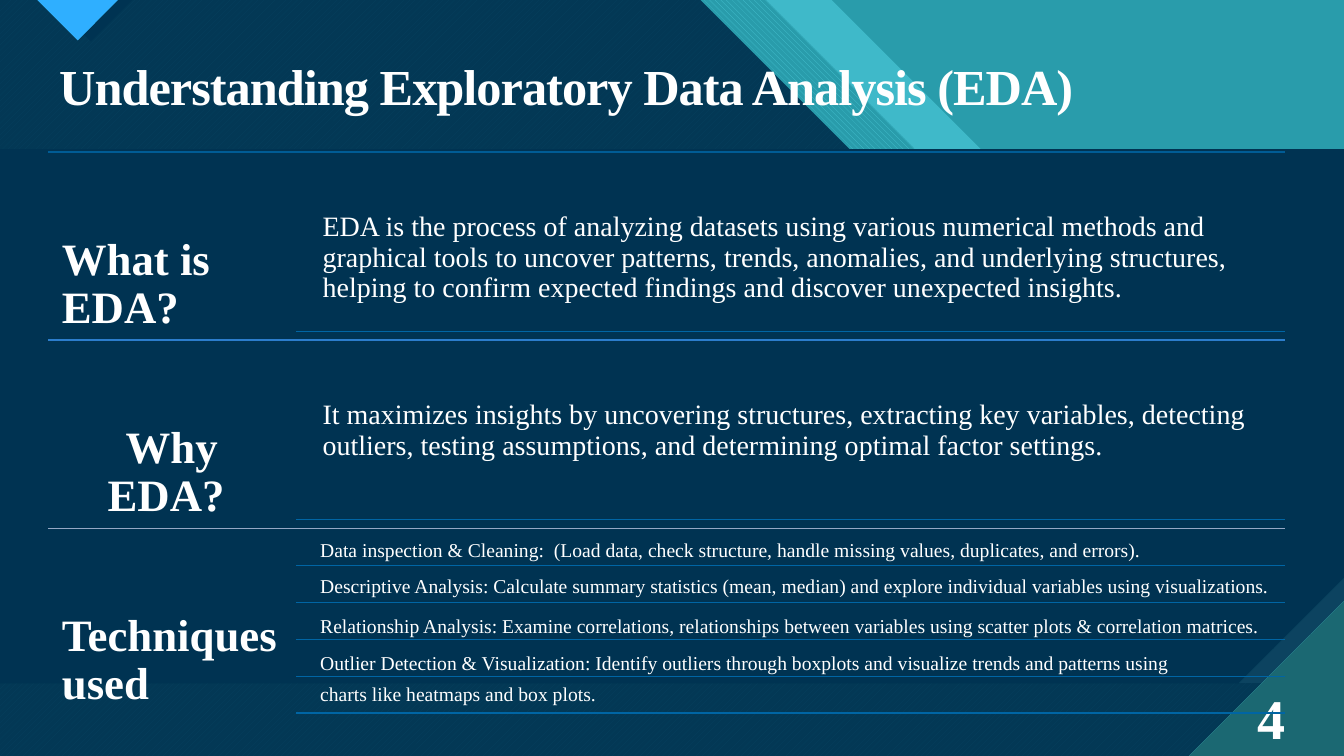
from dataclasses import dataclass

from lxml import etree
from pptx import Presentation
from pptx.dml.color import RGBColor
from pptx.enum.dml import MSO_PATTERN
from pptx.enum.shapes import MSO_CONNECTOR
from pptx.enum.text import MSO_ANCHOR, PP_ALIGN
from pptx.oxml.ns import qn
from pptx.util import Cm, Pt

LEFT, CENTER, RIGHT = PP_ALIGN.LEFT, PP_ALIGN.CENTER, PP_ALIGN.RIGHT
TOP, MIDDLE = MSO_ANCHOR.TOP, MSO_ANCHOR.MIDDLE
DOWN_STRIPES = MSO_PATTERN.WIDE_DOWNWARD_DIAGONAL
UP_STRIPES = MSO_PATTERN.WIDE_UPWARD_DIAGONAL
ROWS, COLUMNS = MSO_PATTERN.DARK_HORIZONTAL, MSO_PATTERN.DARK_VERTICAL

# Content
TITLE = "Understanding Exploratory Data Analysis (EDA)"
PAGE_NUMBER = "4"
# heading, alignment, rule colour, detail
SECTIONS = [
    ("What is EDA?", LEFT, "005C95",
     "EDA is the process of analyzing datasets using various numerical methods and "
     "graphical tools to uncover patterns, trends, anomalies, and underlying structures, "
     "helping to confirm expected findings and discover unexpected insights."),
    ("Why EDA? ", CENTER, "2C7DCC",
     "It maximizes insights by uncovering structures, extracting key variables, detecting "
     "outliers, testing assumptions, and determining optimal factor settings."),
    ("Techniques used", LEFT, "95A8C5", None),
]
# top in cm, text
TECHNIQUES = [
    (13.46, "Data inspection & Cleaning:  (Load data, check structure, handle missing "
            "values, duplicates, and errors)."),
    (14.38, "Descriptive Analysis: Calculate summary statistics (mean, median) and explore "
            "individual variables using visualizations."),
    (15.39, "Relationship Analysis: Examine correlations, relationships between variables "
            "using scatter plots & correlation matrices."),
    (16.31, "Outlier Detection & Visualization: Identify outliers through boxplots and "
            "visualize trends and patterns using"),
    (17.1, "charts like heatmaps and box plots."),
]


@dataclass(frozen=True)
class Theme:
    font: str = "Times New Roman"
    text: str = "FFFFFF"
    teal: str = "299CAB"
    light_teal: str = "3FB9C9"
    bright_teal: str = "47C3D3"
    deep_teal: str = "1B6872"
    navy: str = "003352"
    stripe_navy: str = "07415F"
    stripe_back: str = "033855"
    corner_navy: str = "0C4360"
    accent: str = "2FAFFF"
    rule: str = "0065A4"
    title_size: int = 36
    number_size: int = 40
    heading_size: int = 32
    detail_size: int = 20
    technique_size: int = 14


THEME = Theme()

# Layout in cm
WIDTH, HEIGHT = 33.87, 19.05
BAND, BODY_END, SNIP, CORNER = 3.76, 17.22, 2.65, 3.91
RULE_LEFT, DETAIL_RULE_LEFT, RULE_RIGHT = 1.22, 7.47, 32.38
SECTION_TOP, SECTION_PITCH = 3.83, 4.74
DETAIL_LEFT, DETAIL_WIDTH = 7.92, 24.46
TECHNIQUE_RULE_TOP, TECHNIQUE_PITCH = 14.25, 0.93

deck = Presentation()
deck.slide_width, deck.slide_height = Cm(WIDTH), Cm(HEIGHT)
page = deck.slides.add_slide(deck.slide_layouts[5])
shapes = page.shapes


def color(code):
    return RGBColor.from_string(code)


def add_polygon(points, fore, back=None, pattern=None):
    corners = [(Cm(x), Cm(y)) for x, y in points]
    builder = shapes.build_freeform(*corners[0])
    builder.add_line_segments(corners[1:], close=True)
    shape = builder.convert_to_shape()
    shape.shadow.inherit = False
    shape.line.fill.background()
    if pattern:
        shape.fill.patterned()
        shape.fill.pattern = pattern
        shape.fill.back_color.rgb = color(back)
    else:
        shape.fill.solid()
    shape.fill.fore_color.rgb = color(fore)


def add_rule(left, y, code):
    rule = shapes.add_connector(MSO_CONNECTOR.STRAIGHT, Cm(left), Cm(y), Cm(RULE_RIGHT), Cm(y))
    rule.line.color.rgb = color(code)
    rule.line.width = Pt(1)
    etree.SubElement(rule._element.spPr, qn("a:effectLst"))


def write(box, text, size, bold=False, align=LEFT, anchor=TOP, inset=(0.25, 0.13), spacing=0.9):
    """Fill a box with one run; inset is (sides, top)."""
    frame = box.text_frame
    frame.word_wrap = True
    frame.vertical_anchor = anchor
    frame.margin_left = frame.margin_right = Cm(inset[0])
    frame.margin_top, frame.margin_bottom = Cm(inset[1]), Cm(0.13)
    para = frame.paragraphs[0]
    para.alignment = align
    para.line_spacing = spacing
    span = para.add_run()
    span.text = text
    span.font.name, span.font.size, span.font.bold = THEME.font, Pt(size), bold
    span.font.color.rgb = color(THEME.text)
    return span


def add_text(left, top, width, height, text, size, **style):
    box = shapes.add_textbox(Cm(left), Cm(top), Cm(width), Cm(height))
    write(box, text, size, **style)


# Background: header bands with slanted ends, widest first
page.background.fill.solid()
page.background.fill.fore_color.rgb = color(THEME.teal)
for end, *paint in [
    (20.96, THEME.light_teal),
    (19.3, THEME.bright_teal, THEME.teal, DOWN_STRIPES),
    (17.65, THEME.stripe_navy, THEME.stripe_back, UP_STRIPES),
]:
    add_polygon([(0, 0), (end, 0), (end + BAND, BAND), (0, BAND)], *paint)

# Background: footer, body with cut corner, corner triangles
add_polygon([(0, BODY_END), (WIDTH, BODY_END), (WIDTH, HEIGHT), (0, HEIGHT)],
            THEME.stripe_navy, THEME.stripe_back, UP_STRIPES)
add_polygon([(WIDTH, BODY_END - SNIP), (WIDTH, BODY_END), (WIDTH - SNIP, BODY_END)],
            THEME.corner_navy, THEME.deep_teal, COLUMNS)
add_polygon([(0, BAND), (WIDTH, BAND), (WIDTH, BODY_END - SNIP),
             (WIDTH - SNIP, BODY_END), (0, BODY_END)], THEME.navy)
add_polygon([(WIDTH - CORNER, HEIGHT), (WIDTH, HEIGHT), (WIDTH, HEIGHT - CORNER)],
            THEME.deep_teal, THEME.bright_teal, ROWS)

# Tab at the top left with its shade
add_polygon([(1.22, 0), (2.29, 1.04), (3.33, 0)], THEME.navy)
add_polygon([(0.94, 0), (1.96, 1.02), (2.97, 0)], THEME.accent, THEME.deep_teal, ROWS)

# Title and page number
title = shapes.title
title.left, title.top, title.width, title.height = Cm(1.24), Cm(1.5), Cm(31.14), Cm(1.5)
span = write(title, TITLE, THEME.title_size, bold=True, anchor=MIDDLE)
span.font._element.set("spc", "-70")
shapes._spTree.append(title._element)
add_text(31.27, 17.55, 1.12, 1.02, PAGE_NUMBER, THEME.number_size, bold=True,
         align=RIGHT, anchor=MIDDLE, inset=(0, 0.13), spacing=1.0)

# Sections
for index, (heading, align, rule_color, detail) in enumerate(SECTIONS):
    top = SECTION_TOP + index * SECTION_PITCH
    add_rule(RULE_LEFT, top, rule_color)
    add_text(RULE_LEFT, top, 6.22, 4.72, heading, THEME.heading_size, bold=True,
             align=align, inset=(0.34, 2.13))
    if detail:
        add_text(DETAIL_LEFT, top + 0.21, DETAIL_WIDTH, 4.29, detail,
                 THEME.detail_size, inset=(0.21, 1.32))
        add_rule(DETAIL_RULE_LEFT, top + 4.52, THEME.rule)

# Techniques
for index, (top, technique) in enumerate(TECHNIQUES):
    add_text(DETAIL_LEFT, top, DETAIL_WIDTH, 0.89, technique,
             THEME.technique_size, inset=(0.15, 0.15))
    add_rule(DETAIL_RULE_LEFT, TECHNIQUE_RULE_TOP + index * TECHNIQUE_PITCH, THEME.rule)

deck.save("out.pptx")
